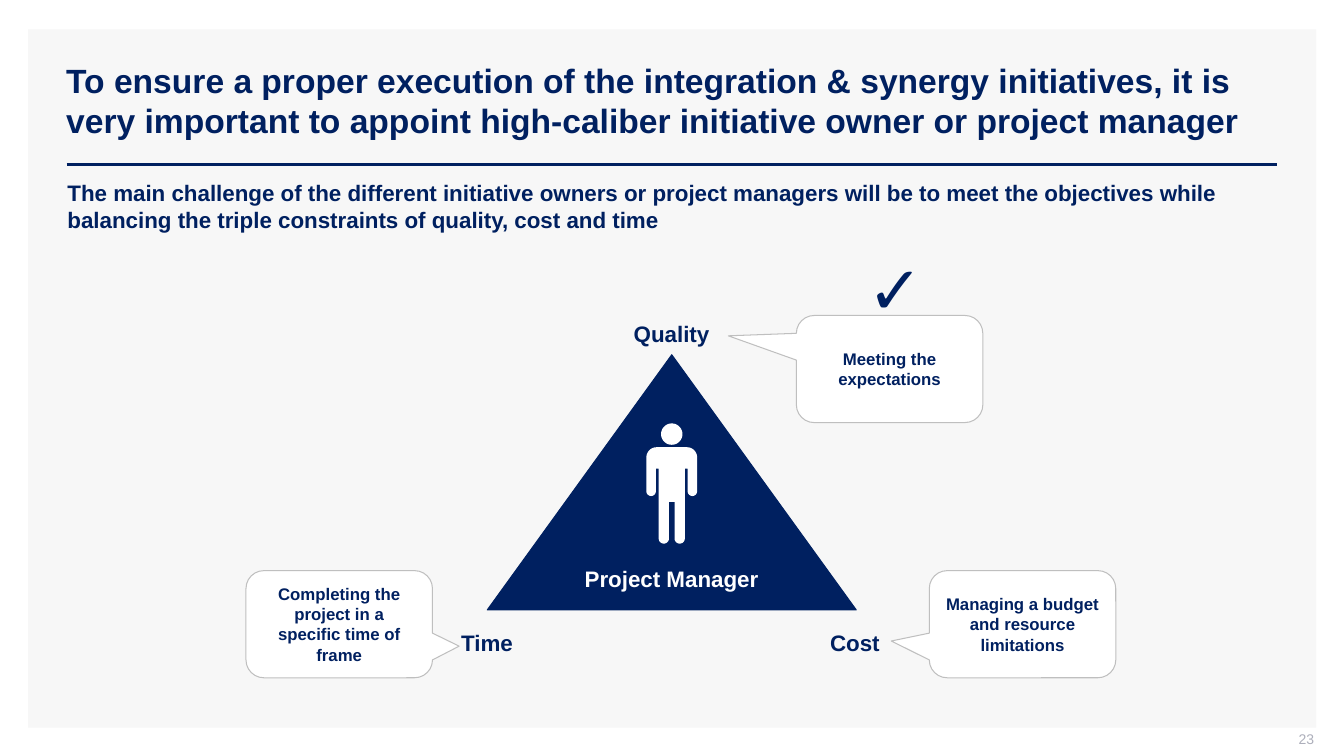
from math import cos, radians, sin

from pptx import Presentation
from pptx.dml.color import RGBColor
from pptx.enum.shapes import MSO_CONNECTOR, MSO_SHAPE
from pptx.enum.text import MSO_ANCHOR, PP_ALIGN
from pptx.util import Cm, Pt
from lxml.etree import SubElement
from pptx.oxml.ns import qn

NAVY, WHITE, PANEL, BORDER, GREY = "002060", "FFFFFF", "F7F7F7", "BFBFBF", "ADAFBB"


def paint(shape, fill, line=None):
    shape.shadow.inherit = False
    shape.fill.solid()
    shape.fill.fore_color.rgb = RGBColor.from_string(fill)
    if line:
        shape.line.color.rgb = RGBColor.from_string(line)
        shape.line.width = Pt(0.75)
    else:
        shape.line.fill.background()


def write(shape, text, size, color=NAVY, bold=True, align=PP_ALIGN.CENTER,
          anchor=MSO_ANCHOR.MIDDLE):
    """Put one wrapped paragraph into a shape and return its text frame."""
    frame = shape.text_frame
    frame.word_wrap = True
    frame.vertical_anchor = anchor
    paragraph = frame.paragraphs[0]
    paragraph.text = text
    paragraph.alignment = align
    paragraph.font.name = "Arial"
    paragraph.font.size = Pt(size)
    paragraph.font.bold = bold
    paragraph.font.color.rgb = RGBColor.from_string(color)
    return frame


presentation = Presentation()
presentation.slide_width, presentation.slide_height = Cm(33.87), Cm(19.05)
slide = presentation.slides.add_slide(presentation.slide_layouts[6])
shapes = slide.shapes

# Panel, title and rule
panel = shapes.add_shape(MSO_SHAPE.RECTANGLE, Cm(0.71), Cm(0.74), Cm(32.46), Cm(17.6))
paint(panel, PANEL)

rule = shapes.add_connector(MSO_CONNECTOR.STRAIGHT, Cm(1.68), Cm(4.14), Cm(32.18), Cm(4.14))
rule.line.color.rgb = RGBColor.from_string(NAVY)
rule.line.width = Pt(2)
SubElement(rule.line._get_or_add_ln().getparent(), qn("a:effectLst"))

title = shapes.add_textbox(Cm(1.42), Cm(1.02), Cm(30.76), Cm(3.02))
write(title, "To ensure a proper execution of the integration & synergy initiatives, it is "
      "very important to appoint high-caliber initiative owner or project manager",
      24, align=PP_ALIGN.LEFT)

subtitle = shapes.add_textbox(Cm(1.7), Cm(4.52), Cm(30.48), Cm(1.37))
frame = write(subtitle, "The main challenge of the different initiative owners or project "
              "managers will be to meet the objectives while balancing the triple "
              "constraints of quality, cost and time",
              16, align=PP_ALIGN.LEFT, anchor=MSO_ANCHOR.TOP)
frame.margin_left = frame.margin_right = frame.margin_top = frame.margin_bottom = 0

page_number = shapes.add_textbox(Cm(25.5), Cm(18.42), Cm(7.62), Cm(0.53))
frame = write(page_number, "23", 10, GREY, bold=False, align=PP_ALIGN.RIGHT)
frame.margin_right = frame.margin_top = 0
frame.margin_bottom = Cm(0.13)

# Triangle of constraints
triangle = shapes.add_shape(MSO_SHAPE.ISOSCELES_TRIANGLE, Cm(12.28), Cm(8.94), Cm(9.3), Cm(6.43))
paint(triangle, NAVY, NAVY)

# Person: arcs of the right half as offset from the axis, y, radius, start and end angle
AXIS = 16.93
right_arcs = [
    (0.38, 11.53, 0.26, -90, 0),    # shoulder
    (0.52, 12.38, 0.12, 0, 180),    # hand
    (0.40, 11.81, 0, 0, 0),         # armpit
    (0.33, 11.81, 0, 0, 0),
    (0.20, 13.57, 0.13, 0, 180),    # foot
    (0.07, 12.65, 0, 0, 0),         # crotch
]
STEPS = 12
right_half = [
    (x + radius * cos(radians(start + (end - start) * step / STEPS)),
     y + radius * sin(radians(start + (end - start) * step / STEPS)))
    for x, y, radius, start, end in right_arcs
    for step in range(STEPS + 1 if radius else 1)
]
left_half = [(-x, y) for x, y in reversed(right_half)]
body = [(Cm(AXIS + x), Cm(y)) for x, y in right_half + left_half]
head = [(Cm(AXIS + 0.27 * cos(radians(angle))), Cm(10.94 + 0.27 * sin(radians(angle))))
        for angle in range(0, 360, 10)]

builder = shapes.build_freeform(*body[0])
builder.add_line_segments(body[1:])
builder.move_to(*head[0])
builder.add_line_segments(head[1:])
person = builder.convert_to_shape()
paint(person, WHITE)

labels = [
    ("Project Manager", 13.8, 14.12, WHITE),
    ("Quality", 13.8, 7.95, NAVY),
    ("Cost", 18.42, 15.72, NAVY),
    ("Time", 9.15, 15.72, NAVY),
]
for text, left, top, color in labels:
    label = shapes.add_textbox(Cm(left), Cm(top), Cm(6.25), Cm(0.94))
    write(label, text, 16, color, anchor=MSO_ANCHOR.TOP)

# Callouts: text, left, top, tip of the pointer
callouts = [
    ("Meeting the expectations", 20.07, 7.95, (-0.865, -0.31)),
    ("Managing a budget and resource limitations", 23.42, 14.38, (-0.704, 0.157)),
    ("Completing the project in a specific time of frame", 6.2, 14.38, (0.643, 0.205)),
]
for text, left, top, (tip_x, tip_y) in callouts:
    callout = shapes.add_shape(MSO_SHAPE.ROUNDED_RECTANGULAR_CALLOUT,
                               Cm(left), Cm(top), Cm(4.7), Cm(2.7))
    callout.adjustments[0], callout.adjustments[1] = tip_x, tip_y
    paint(callout, WHITE, BORDER)
    write(callout, text, 12)

check_mark = shapes.add_textbox(Cm(21.56), Cm(6.35), Cm(2.03), Cm(1.78))
write(check_mark, "✓", 48, bold=False)

presentation.save("out.pptx")
